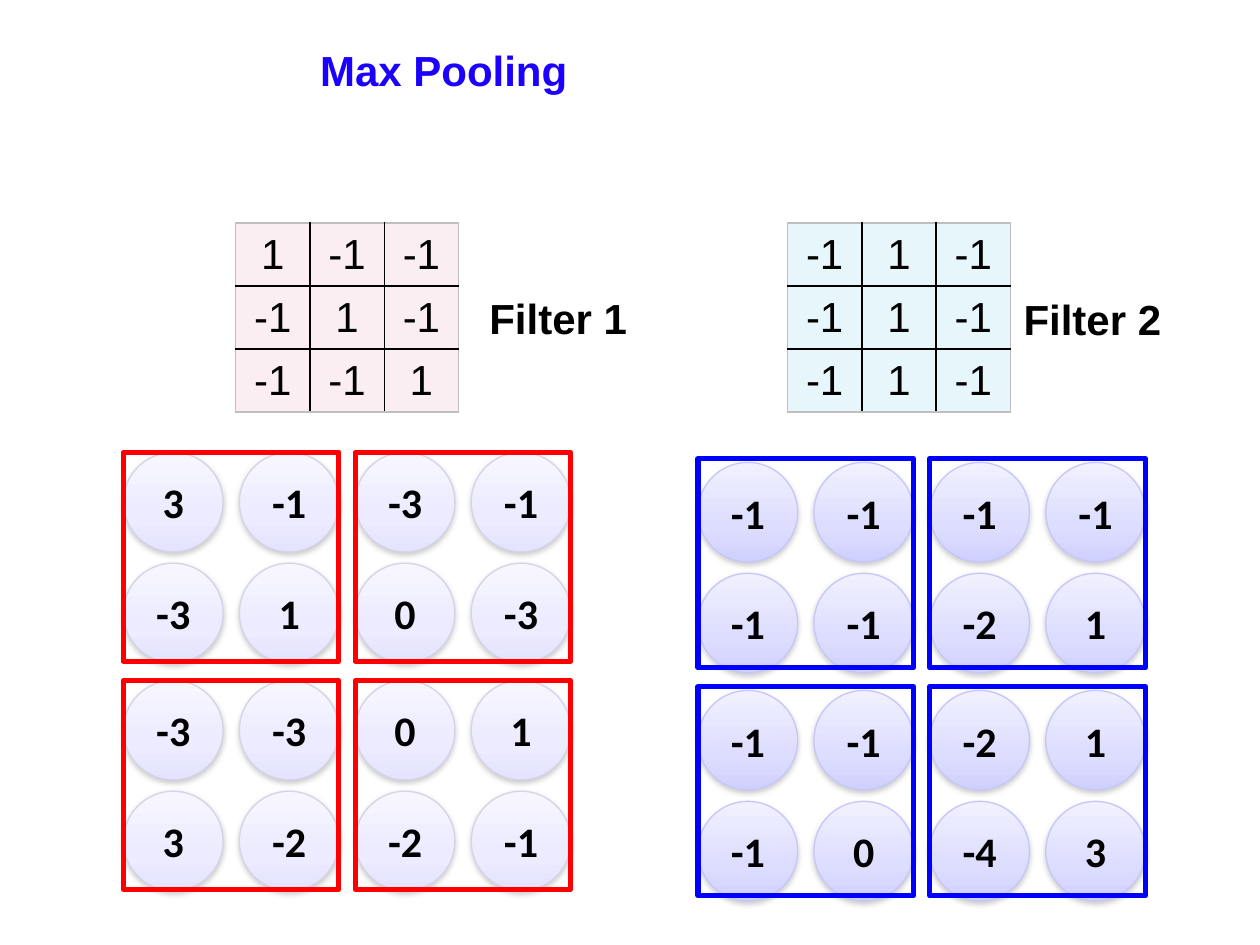
from lxml import etree
from pptx import Presentation
from pptx.dml.color import RGBColor
from pptx.enum.shapes import MSO_SHAPE
from pptx.enum.text import MSO_ANCHOR, PP_ALIGN
from pptx.oxml import parse_xml
from pptx.oxml.ns import nsdecls, qn
from pptx.util import Inches, Pt

OVAL = MSO_SHAPE.OVAL
RECTANGLE = MSO_SHAPE.RECTANGLE
MIDDLE = MSO_ANCHOR.MIDDLE
CENTER = PP_ALIGN.CENTER
LEFT = PP_ALIGN.LEFT

COLORS = {"title": "1B00FE", "text": "000000", "inner": "000000", "outer": "BFBFBF", "shadow": "808080"}
TITLE = "Max Pooling"
FILTERS = [
    {
        "label": "Filter 1",
        "label_at": (3.64, 2.27),
        "kernel": [[1, -1, -1], [-1, 1, -1], [-1, -1, 1]],
        "kernel_at": (1.87, 1.77),
        "row_height": 0.5,
        "kernel_fill": "FAEEF2",
        "map": [[3, -1, -3, -1], [-3, 1, 0, -3], [-3, -3, 0, 1], [3, -2, -2, -1]],
        "map_at": (0.98, 3.59),
        "gradient": [(0, "F7F6FF"), (65, "ECEBFF"), (100, "E5E3FF")],
        "outline": "D4D3E7",
        "window_top": 3.59,
        "window_color": "FF0000",
    },
    {
        "label": "Filter 2",
        "label_at": (7.88, 2.28),
        "kernel": [[-1, 1, -1], [-1, 1, -1], [-1, 1, -1]],
        "kernel_at": (6.25, 1.77),
        "row_height": 0.47,
        "kernel_fill": "E6F6FA",
        "map": [[-1, -1, -1, -1], [-1, -1, -2, 1], [-1, -1, -2, 1], [-1, 0, -4, 3]],
        "map_at": (5.54, 3.67),
        "gradient": [(0, "F0F0FF"), (65, "DDDDFF"), (100, "D0D0FF")],
        "outline": "C6C6FB",
        "window_top": 3.64,
        "window_color": "0000FF",
    },
]
CELL_WIDTH = 0.59
CIRCLE = 0.79
COLUMN_STEP = 0.92
ROW_STEP = 0.88
WINDOW_WIDTH, WINDOW_HEIGHT = 1.71, 1.66
WINDOW_STEP_X, WINDOW_STEP_Y = 1.84, 1.81


def rgb(value):
    return RGBColor.from_string(value)


def write(frame, text, font="Arial", color=COLORS["text"], bold=True, align=CENTER):
    frame.text = text
    paragraph = frame.paragraphs[0]
    paragraph.alignment = align
    paragraph.font.name = font
    paragraph.font.size = Pt(24)
    paragraph.font.bold = bold
    paragraph.font.color.rgb = rgb(color)


def set_border(cell, side, color):
    line = etree.SubElement(cell._tc.get_or_add_tcPr(), qn(f"a:{side}"), w=str(Pt(1)))
    fill = etree.SubElement(line, qn("a:solidFill"))
    etree.SubElement(fill, qn("a:srgbClr"), val=color)


def add_kernel(slide, item):
    values = item["kernel"]
    last = len(values) - 1
    left, top = item["kernel_at"]
    size = len(values)
    frame = slide.shapes.add_table(size, size, Inches(left), Inches(top),
                                   Inches(CELL_WIDTH * size), Inches(item["row_height"] * size))
    table = frame.table
    table.first_row = False
    table.horz_banding = False
    for row, numbers in enumerate(values):
        table.rows[row].height = Inches(item["row_height"])
        table.columns[row].width = Inches(CELL_WIDTH)
        for column, number in enumerate(numbers):
            cell = table.cell(row, column)
            write(cell.text_frame, str(number), bold=False)
            cell.vertical_anchor = MIDDLE
            edges = {"lnL": column == 0, "lnR": column == last, "lnT": row == 0, "lnB": row == last}
            for side, is_outer in edges.items():
                set_border(cell, side, COLORS["outer" if is_outer else "inner"])
            cell.fill.solid()
            cell.fill.fore_color.rgb = rgb(item["kernel_fill"])


def add_circle(slide, item, left, top, number):
    circle = slide.shapes.add_shape(OVAL, Inches(left), Inches(top), Inches(CIRCLE), Inches(CIRCLE))
    circle.fill.gradient()
    circle.fill.gradient_angle = 270
    stops = circle._element.spPr.find(".//" + qn("a:gsLst"))
    for stop in list(stops):
        stops.remove(stop)
    for position, color in item["gradient"]:
        stop = etree.SubElement(stops, qn("a:gs"), pos=str(position * 1000))
        etree.SubElement(stop, qn("a:srgbClr"), val=color)
    circle.line.color.rgb = rgb(item["outline"])
    circle.line.width = Pt(0.75)
    circle._element.spPr.append(parse_xml(
        f'<a:effectLst {nsdecls("a")}><a:outerShdw blurRad="{Pt(3.1)}" dist="{Pt(1.6)}" dir="5400000" '
        f'rotWithShape="0"><a:srgbClr val="{COLORS["shadow"]}"><a:alpha val="38000"/></a:srgbClr>'
        '</a:outerShdw></a:effectLst>'))
    frame = circle.text_frame
    frame.word_wrap = False
    frame.vertical_anchor = MIDDLE
    write(frame, str(number), font="Calibri")


def add_feature_map(slide, item):
    left, top = item["map_at"]
    for row, numbers in enumerate(item["map"]):
        y = top + row // 2 * WINDOW_STEP_Y + row % 2 * ROW_STEP
        for column, number in enumerate(numbers):
            add_circle(slide, item, left + column * COLUMN_STEP, y, number)


def add_windows(slide, item):
    for row in range(2):
        for column in range(2):
            window = slide.shapes.add_shape(
                RECTANGLE,
                Inches(item["map_at"][0] + column * WINDOW_STEP_X),
                Inches(item["window_top"] + row * WINDOW_STEP_Y),
                Inches(WINDOW_WIDTH), Inches(WINDOW_HEIGHT))
            window.shadow.inherit = False
            window.fill.background()
            window.line.color.rgb = rgb(item["window_color"])
            window.line.width = Pt(3)


def add_label(slide, item):
    left, top = item["label_at"]
    label = slide.shapes.add_textbox(Inches(left), Inches(top), Inches(1.58), Inches(0.51))
    label.text_frame.word_wrap = True
    write(label.text_frame, item["label"])


def main():
    presentation = Presentation()
    presentation.slide_width = Inches(10)
    presentation.slide_height = Inches(7.5)
    slide = presentation.slides.add_slide(presentation.slide_layouts[5])
    title = slide.shapes.title
    title.left, title.top, title.width, title.height = (Inches(value) for value in (2.44, 0.3, 2.27, 0.5))
    title.text_frame.word_wrap = False
    title.text_frame.vertical_anchor = MIDDLE
    write(title.text_frame, TITLE, color=COLORS["title"], align=LEFT)
    for item in FILTERS:
        add_feature_map(slide, item)
        add_kernel(slide, item)
        add_label(slide, item)
        add_windows(slide, item)
    presentation.save("out.pptx")


if __name__ == "__main__":
    main()
